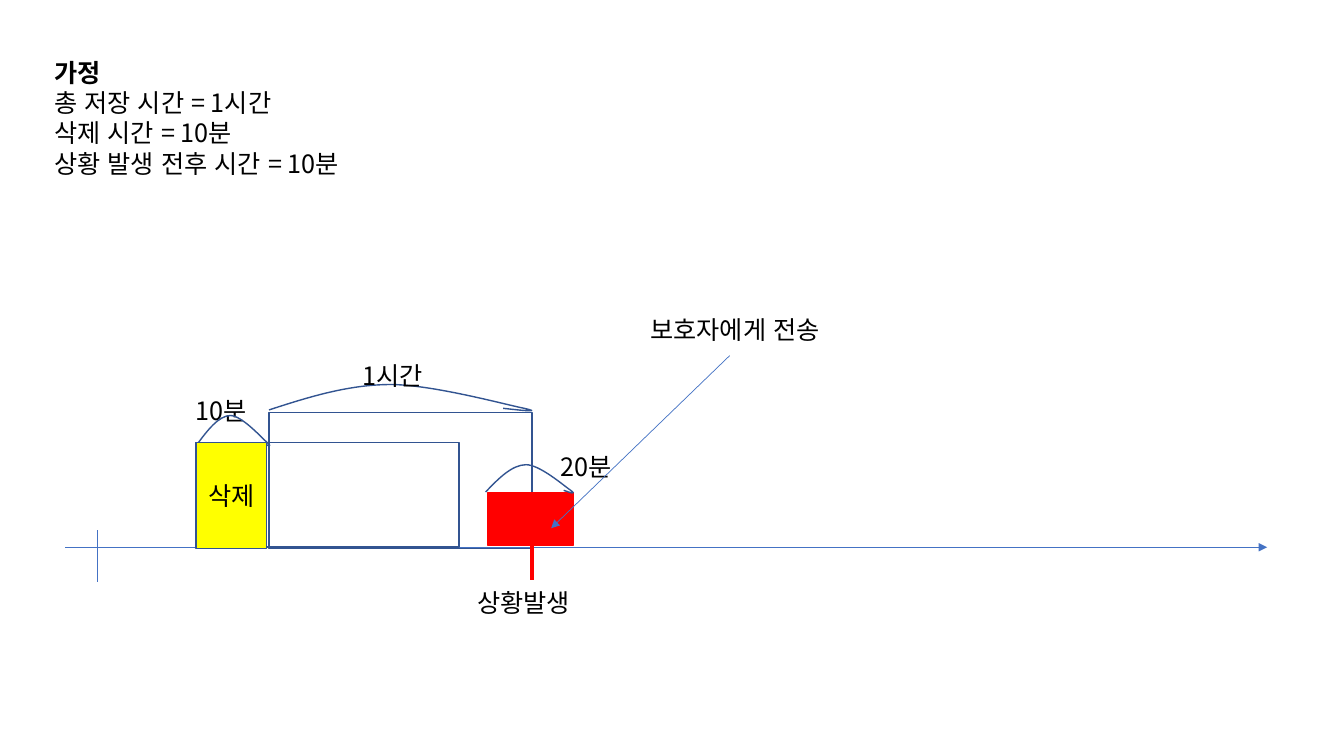
from dataclasses import dataclass

import lxml.etree
import pptx
import pptx.dml.color
import pptx.enum.lang
import pptx.enum.shapes
import pptx.enum.text
import pptx.oxml.ns
import pptx.util

Cm = pptx.util.Cm
Pt = pptx.util.Pt
RGB = pptx.dml.color.RGBColor.from_string
qn = pptx.oxml.ns.qn


@dataclass(frozen=True)
class Theme:
    font: str = "Noto Sans CJK KR"
    text_size: float = 18
    hairline: float = 0.5
    outline: float = 1
    marker: float = 3
    ink: str = "000000"
    axis: str = "4472C4"
    border: str = "325491"
    incident: str = "FF0000"
    deleted: str = "FFFF00"


THEME = Theme()


@dataclass(frozen=True)
class Label:
    lines: tuple[str, ...]
    left: float
    top: float
    width: float = 2.54
    height: float = 1.02
    heading: bool = False


@dataclass(frozen=True)
class Period:
    left: float
    top: float
    width: float
    height: float
    border: str = THEME.border
    fill: str | None = None
    text: str = ""


@dataclass(frozen=True)
class Span:
    """A hooked arc over a period."""
    left: float
    top: float
    width: float
    height: float


@dataclass(frozen=True)
class Line:
    start: tuple[float, float]
    end: tuple[float, float]
    color: str = THEME.axis
    weight: float = THEME.hairline
    arrow: bool = False


# Cubic Bezier points of an arc, as fractions of its box
ARC = ((0, 0.97), (0.15, 0.48), (0.3, 0.01), (0.46, 0), (0.62, 0), (0.9, 0.77),
       (0.97, 0.91), (1.04, 1.07), (0.97, 1), (0.89, 0.91))

AXIS_Y = 13.79
INCIDENT_X = 13.41
STORED_LEFT = 4.94
HOUR_LEFT = 6.78
HOUR_WIDTH = 6.63

PARTS = (
    Line((1.65, AXIS_Y), (31.93, AXIS_Y), arrow=True),
    Period(STORED_LEFT, 11.15, HOUR_WIDTH, 2.64),
    Label(("가정", "총 저장 시간 = 1시간", "삭제 시간 = 10분", "상황 발생 전후 시간 = 10분"),
          1.12, 1.32, 9.5, 3.33, heading=True),
    Line((2.45, 13.36), (2.45, 14.67)),
    Label(("10분",), 4.69, 9.83),
    Span(4.96, 10.47, 1.84, 0.76),
    Period(HOUR_LEFT, 10.39, HOUR_WIDTH, 3.43),
    Span(HOUR_LEFT, 9.69, HOUR_WIDTH, 0.66),
    Label(("1시간",), 8.89, 8.95),
    Line((INCIDENT_X, 13.31), (INCIDENT_X, 14.61), THEME.incident, THEME.marker),
    Label(("상황발생",), 11.78, 14.68, 3.43),
    Period(12.29, 12.42, 2.16, 1.32, THEME.incident, THEME.incident),
    Span(12.24, 11.71, 2.21, 0.71),
    Label(("20분",), 13.88, 11.25),
    Period(STORED_LEFT, 11.15, 1.78, 2.68, fill=THEME.deleted, text="삭제"),
    Line((18.39, 8.96), (13.89, 13.31), arrow=True),
    Label(("보호자에게 전송",), 16.14, 7.8, 6.96),
)


def write(paragraph, text: str, bold: bool = False) -> None:
    run = paragraph.add_run()
    run.text = text
    text_format = {"name": THEME.font, "size": Pt(THEME.text_size), "bold": bold,
                   "language_id": pptx.enum.lang.MSO_LANGUAGE_ID.KOREAN}
    for attribute, value in text_format.items():
        setattr(run.font, attribute, value)
    run.font.color.rgb = RGB(THEME.ink)


def stroke(line, color: str, weight: float) -> None:
    line.color.rgb = RGB(color)
    line.width = Pt(weight)


def draw_label(shapes, label: Label) -> None:
    box = shapes.add_textbox(Cm(label.left), Cm(label.top), Cm(label.width), Cm(label.height))
    frame = box.text_frame
    frame.word_wrap = True
    frame.auto_size = pptx.enum.text.MSO_AUTO_SIZE.SHAPE_TO_FIT_TEXT
    for index, text in enumerate(label.lines):
        paragraph = frame.add_paragraph() if index else frame.paragraphs[0]
        write(paragraph, text, bold=label.heading and index == 0)


def draw_period(shapes, period: Period) -> None:
    box = shapes.add_shape(pptx.enum.shapes.MSO_SHAPE.RECTANGLE, Cm(period.left),
                           Cm(period.top), Cm(period.width), Cm(period.height))
    box.shadow.inherit = False
    stroke(box.line, period.border, THEME.outline)
    if period.fill:
        box.fill.solid()
        box.fill.fore_color.rgb = RGB(period.fill)
    else:
        box.fill.background()
    if period.text:
        box.text_frame.vertical_anchor = pptx.enum.text.MSO_ANCHOR.MIDDLE
        paragraph = box.text_frame.paragraphs[0]
        paragraph.alignment = pptx.enum.text.PP_ALIGN.CENTER
        write(paragraph, period.text)


def bend(freeform) -> None:
    """Turn each three straight segments into one cubic Bezier curve."""
    segments = list(freeform._element.iter(qn("a:lnTo")))
    outline = segments[0].getparent()
    for first in range(0, len(segments), 3):
        curve = lxml.etree.SubElement(outline, qn("a:cubicBezTo"))
        for segment in segments[first:first + 3]:
            curve.append(segment[0])
            outline.remove(segment)


def draw_span(shapes, span: Span) -> None:
    points = [(Cm(span.left + x * span.width), Cm(span.top + y * span.height))
              for x, y in ARC]
    builder = shapes.build_freeform(*points[0])
    builder.add_line_segments(points[1:], close=False)
    arc = builder.convert_to_shape()
    bend(arc)
    arc.shadow.inherit = False
    arc.fill.background()
    stroke(arc.line, THEME.border, THEME.outline)


def draw_line(shapes, line: Line) -> None:
    connector = shapes.add_connector(pptx.enum.shapes.MSO_CONNECTOR.STRAIGHT,
                                     *map(Cm, line.start + line.end))
    stroke(connector.line, line.color, line.weight)
    properties = connector._element.spPr
    if line.arrow:
        head = lxml.etree.SubElement(properties.find(qn("a:ln")), qn("a:tailEnd"))
        head.set("type", "triangle")
    lxml.etree.SubElement(properties, qn("a:effectLst"))


DRAW = {Label: draw_label, Period: draw_period, Span: draw_span, Line: draw_line}


def main() -> None:
    deck = pptx.Presentation()
    deck.slide_width, deck.slide_height = Cm(33.87), Cm(19.05)
    slide = deck.slides.add_slide(deck.slide_layouts[6])
    for part in PARTS:
        DRAW[type(part)](slide.shapes, part)
    deck.save("out.pptx")


if __name__ == "__main__":
    main()
